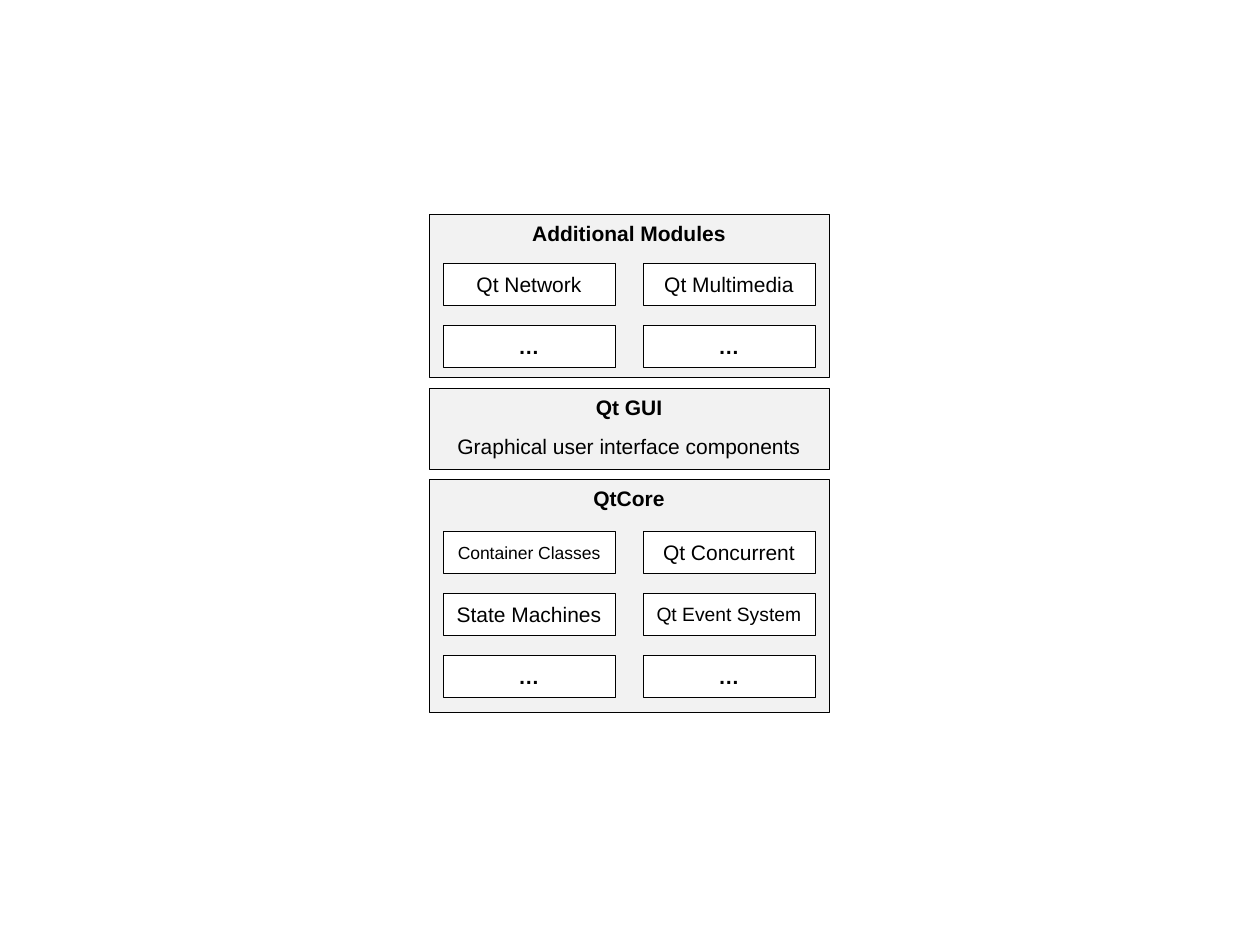
from pptx import Presentation
from pptx import util as u
from pptx.dml.color import RGBColor
from pptx.enum import shapes, text

PX = u.Inches(1) // 126
COLORS = {"panel": "F2F2F2", "box": "FFFFFF", "ink": "000000"}
FONT, SIZE = "Arial", 12

MORE = "…"
SMALLER = {"Container Classes": 10, "Qt Event System": 11}
# title, top, height, offset of the first row, rows of boxes
PANELS = [
    ("Additional Modules", 214, 163, 49,
     [("Qt Network", "Qt Multimedia"), (MORE, MORE)]),
    ("Qt GUI", 388, 81, 37, [("Graphical user interface components",)]),
    ("QtCore", 479, 233, 52,
     [("Container Classes", "Qt Concurrent"),
      ("State Machines", "Qt Event System"),
      (MORE, MORE)]),
]
PANEL_LEFT, PANEL_W = 429, 400
PAD, GAP, BOX_H, ROW_PITCH = 14, 28, 42, 62


def add_block(parent, box, label, fill, bold=False, outlined=True,
              anchor=text.MSO_ANCHOR.MIDDLE):
    """Add a filled process rectangle with one centred line of text."""
    sp = parent.shapes.add_shape(shapes.MSO_SHAPE.FLOWCHART_PROCESS,
                                 *(v * PX for v in box))
    sp.shadow.inherit = False
    sp.fill.solid()
    sp.fill.fore_color.rgb = RGBColor.from_string(COLORS[fill])
    if outlined:
        sp.line.color.rgb = RGBColor.from_string(COLORS["ink"])
        sp.line.width = u.Pt(0.5)
    else:
        sp.line.fill.background()
    tf = sp.text_frame
    tf.word_wrap = True
    tf.margin_left = tf.margin_right = 6 * PX
    tf.vertical_anchor = anchor
    p = tf.paragraphs[0]
    p.text = label
    p.alignment = text.PP_ALIGN.CENTER
    p.font.name = FONT
    p.font.size = u.Pt(SMALLER.get(label, SIZE))
    p.font.bold = bold
    p.font.color.rgb = RGBColor.from_string(COLORS["ink"])


def add_panel(parent, title, top, height, offset, rows):
    """Add a titled panel and its rows of equally wide boxes."""
    add_block(parent, (PANEL_LEFT, top, PANEL_W, height), title, "panel",
              bold=True, anchor=text.MSO_ANCHOR.TOP)
    for i, row in enumerate(rows):
        width = (PANEL_W - 2 * PAD - GAP * (len(row) - 1)) // len(row)
        single = len(row) == 1
        for j, label in enumerate(row):
            box = (PANEL_LEFT + PAD + j * (width + GAP),
                   top + offset + i * ROW_PITCH, width, BOX_H)
            add_block(parent, box, label, "panel" if single else "box",
                      bold=label == MORE, outlined=not single)


prs = Presentation()
prs.slide_width, prs.slide_height = u.Inches(10), u.Inches(7.5)
slide = prs.slides.add_slide(prs.slide_layouts.get_by_name("Blank"))
stack = slide.shapes.add_group_shape()
for panel in PANELS:
    add_panel(stack, *panel)
prs.save("out.pptx")
